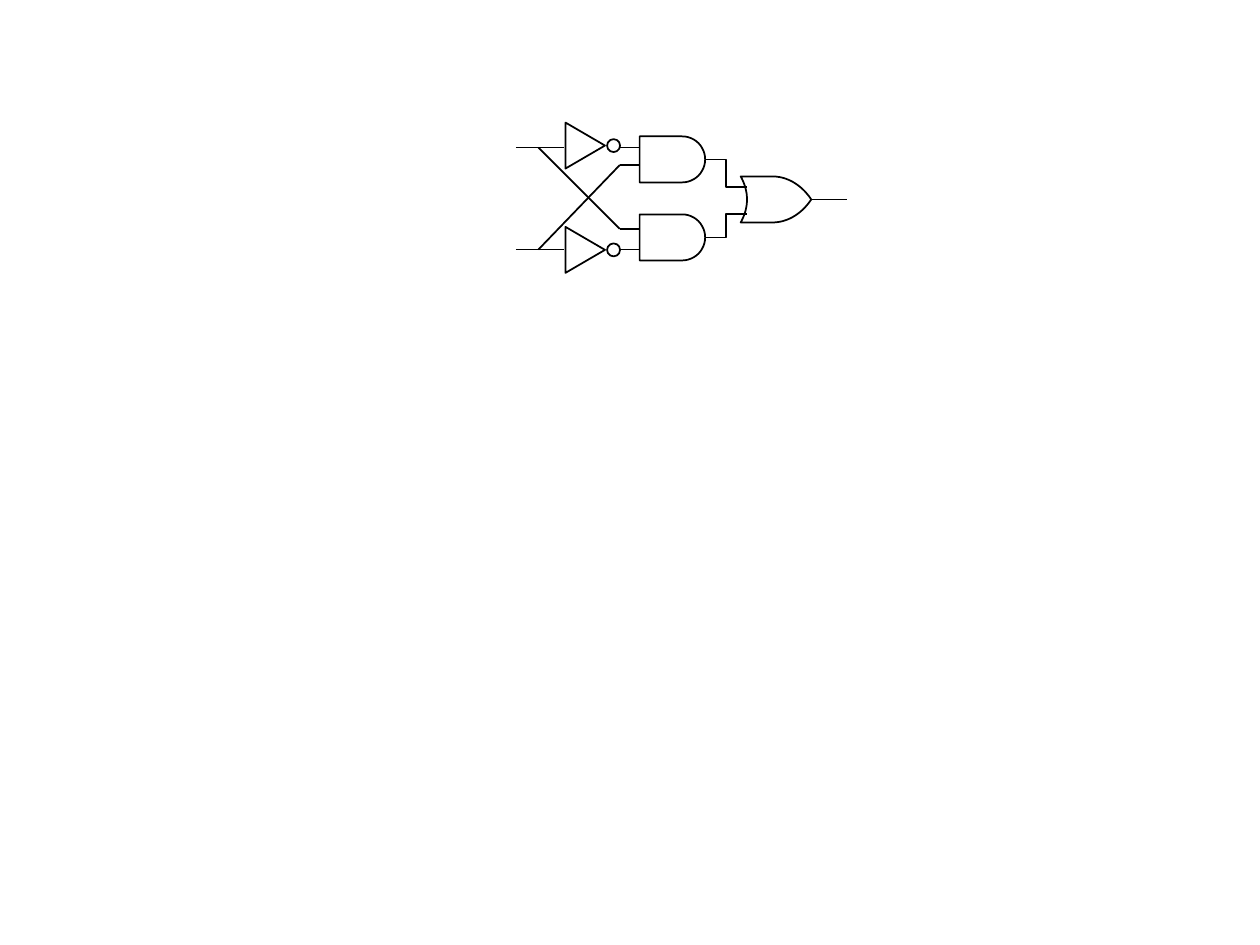
from math import cos, pi, sin

from lxml import etree
from pptx import Presentation
from pptx.dml.color import RGBColor
from pptx.enum.shapes import MSO_CONNECTOR, MSO_SHAPE
from pptx.oxml.ns import qn
from pptx.util import Pt

TRIANGLE = MSO_SHAPE.ISOSCELES_TRIANGLE
OVAL = MSO_SHAPE.OVAL
STRAIGHT = MSO_CONNECTOR.STRAIGHT
ELBOW = MSO_CONNECTOR.ELBOW

BLACK, WHITE = "000000", "FFFFFF"
GATE_H = 26.3
STEPS = 24


def rgb(value):
    return RGBColor.from_string(value)


def style(sp):
    sp.shadow.inherit = False
    sp.fill.solid()
    sp.fill.fore_color.rgb = rgb(WHITE)
    sp.line.color.rgb = rgb(BLACK)
    sp.line.width = Pt(1)


def add_outline(shapes, points):
    points = [(Pt(x), Pt(y)) for x, y in points]
    builder = shapes.build_freeform(*points[0], scale=1.0)
    builder.add_line_segments(points[1:], close=True)
    style(builder.convert_to_shape())


def curve(p0, p1, p2, p3):
    """Points along a cubic Bezier curve."""
    points = []
    for i in range(STEPS + 1):
        t = i / STEPS
        weights = ((1 - t) ** 3, 3 * t * (1 - t) ** 2, 3 * t * t * (1 - t), t ** 3)
        points.append(tuple(sum(w * p[k] for w, p in zip(weights, (p0, p1, p2, p3)))
                            for k in (0, 1)))
    return points


def add_and_gate(shapes, left, mid):
    r = GATE_H / 2
    center = left + 24.3
    angles = [-pi / 2 + pi * i / STEPS for i in range(STEPS + 1)]
    arc = [(center + r * cos(a), mid + r * sin(a)) for a in angles]
    add_outline(shapes, [(left, mid - r)] + arc + [(left, mid + r)])


def add_or_gate(shapes, left, mid):
    top, bottom = mid - GATE_H / 2, mid + GATE_H / 2
    tip, shoulder = left + 40.3, left + 18
    upper = curve((shoulder, top), (left + 27, top), (left + 35, mid - 8), (tip, mid))
    lower = curve((tip, mid), (left + 35, mid + 8), (left + 27, bottom), (shoulder, bottom))
    back = curve((left, bottom), (left + 4.8, mid + 4.5), (left + 4.8, mid - 4.5), (left, top))
    add_outline(shapes, upper + lower + back)


def add_inverter(shapes, left, mid):
    group = shapes.add_group_shape().shapes
    depth, bubble = 22.6, 7.4
    # The triangle is turned to point right, so its box is centred on its drawn place
    sp = group.add_shape(TRIANGLE, Pt(left + (depth - GATE_H) / 2), Pt(mid - depth / 2),
                         Pt(GATE_H), Pt(depth))
    sp.rotation = 90
    style(sp)
    style(group.add_shape(OVAL, Pt(left + depth + 1.2), Pt(mid - bubble / 2),
                          Pt(bubble), Pt(bubble)))


def add_wire(shapes, x1, y1, x2, y2, kind=STRAIGHT):
    line = shapes.add_connector(kind, Pt(x1), Pt(y1), Pt(x2), Pt(y2))
    line.line.color.rgb = rgb(BLACK)
    line.line.width = Pt(1)
    etree.SubElement(line._element.spPr, qn("a:effectLst"))


def main():
    prs = Presentation()
    prs.slide_width, prs.slide_height = Pt(720), Pt(540)
    shapes = prs.slides.add_slide(prs.slide_layouts[6]).shapes

    and_left, and_right = 365.5, 403
    or_left, or_mid = 423.3, 114
    input_left, tap, inv_left, inv_right = 294.8, 307.7, 323.1, 354.2
    and_mids = (91.1, 135.7)
    input_ys = (84.3, 142.6)
    cross_ys = (94.3, 130.8)

    # Gates
    for mid in and_mids:
        add_and_gate(shapes, and_left, mid)
    add_or_gate(shapes, or_left, or_mid)
    for mid in (83.2, 142.8):
        add_inverter(shapes, inv_left, mid)

    # Inputs and inverted branches
    for y in input_ys:
        add_wire(shapes, input_left, y, inv_left - 0.6, y)
        add_wire(shapes, inv_right, y, and_left, y)

    # Crossed branches to the opposite gates
    for y, tap_y in zip(cross_ys, reversed(input_ys)):
        add_wire(shapes, inv_right, y, and_left, y)
        add_wire(shapes, inv_right, y, tap, tap_y)

    # Gate outputs
    for mid, y in zip(and_mids, (106.8, 122.5)):
        add_wire(shapes, and_right, mid, or_left + 3.3, y, ELBOW)
    add_wire(shapes, or_left + 40.3, or_mid, 484, or_mid)

    prs.save("out.pptx")


if __name__ == "__main__":
    main()
